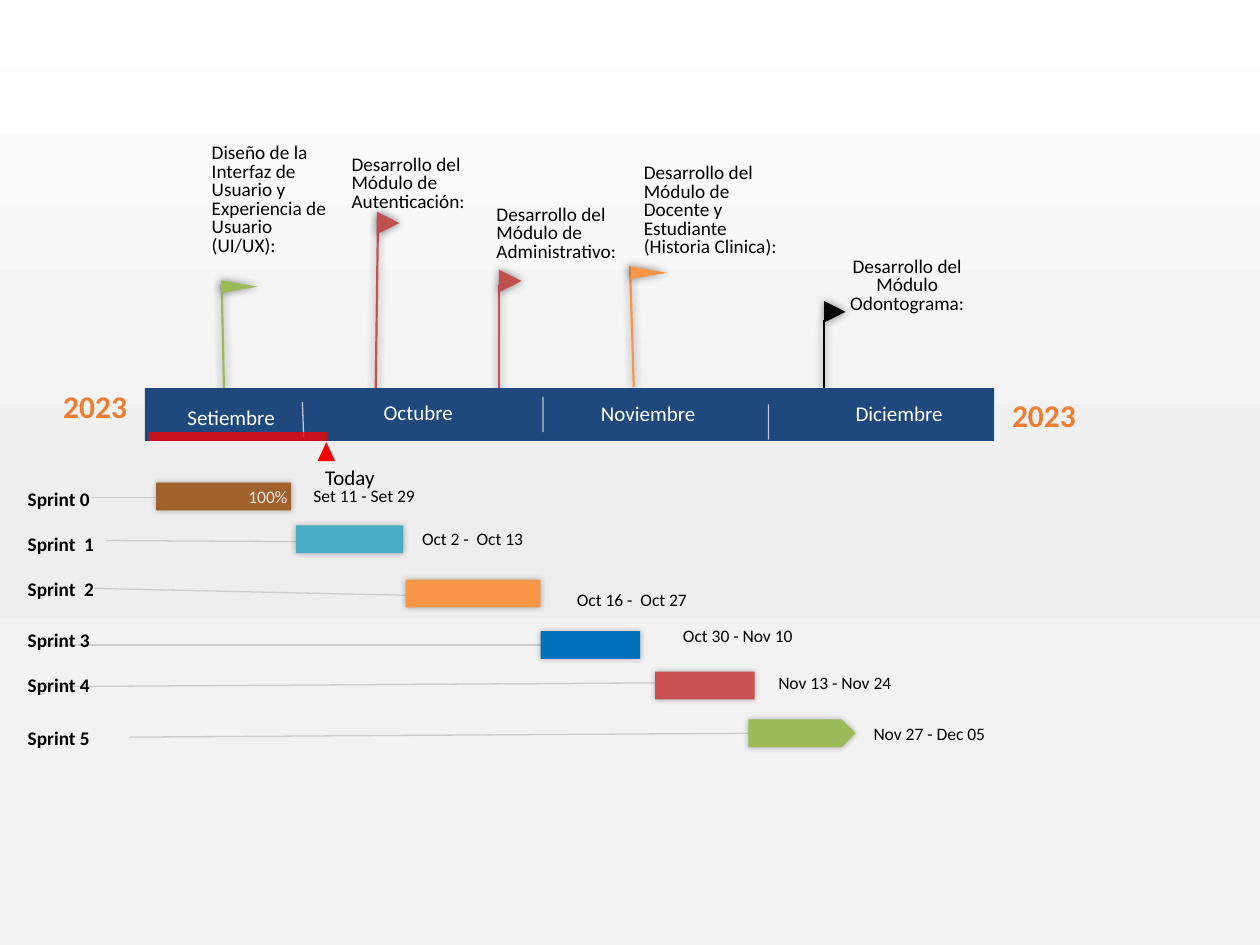
from lxml import etree
from pptx import Presentation
from pptx.dml.color import RGBColor
from pptx.enum.shapes import MSO_CONNECTOR, MSO_SHAPE as SHAPE
from pptx.enum.text import MSO_ANCHOR as ANCHOR, PP_ALIGN as ALIGN
from pptx.oxml.ns import qn
from pptx.util import Inches, Pt

WHITE = RGBColor(0xFF, 0xFF, 0xFF)
BLACK = RGBColor(0, 0, 0)
GRAY = RGBColor(0xCC, 0xCC, 0xCC)
NAVY = RGBColor(0x1F, 0x49, 0x7D)
BLUE = RGBColor(0x00, 0x72, 0xBC)
TEAL = RGBColor(0x4B, 0xAC, 0xC6)
ORANGE = RGBColor(0xF7, 0x96, 0x46)
YEAR_ORANGE = RGBColor(0xED, 0x7D, 0x31)
GREEN = RGBColor(0x9B, 0xBB, 0x59)
RED = RGBColor(0xC8, 0x50, 0x50)
FLAG_RED = RGBColor(0xC0, 0x50, 0x4D)
BRIGHT_RED = RGBColor(0xFF, 0, 0)
PALE = RGBColor(0xF1, 0xE6, 0xE6)
BACKDROP = [(0, "FFFFFF"), (57, "EEEEEE"), (74, "F2F2F2"), (100, "F2F2F2")]


class Canvas:
    font = "Calibri"
    bar_shadow = (3.5, 30)
    flag_shadow = (5, 50)

    def __init__(self, slide):
        self.s = slide

    def background(self, stops):
        fill = self.s.background.fill
        fill.gradient()
        fill.gradient_angle = 270
        gs_lst = self.s._element.find(".//" + qn("a:gsLst"))
        for gs in list(gs_lst):
            gs_lst.remove(gs)
        for pos, color in stops:
            gs = etree.SubElement(gs_lst, qn("a:gs"), pos=str(pos * 1000))
            etree.SubElement(gs, qn("a:srgbClr"), val=color)

    def effects(self, sp, shadow):
        """Set the effect list: empty, or a centred soft shadow (blur, alpha)."""
        sp_pr = sp._element.spPr
        for old in sp_pr.findall(qn("a:effectLst")):
            sp_pr.remove(old)
        lst = etree.SubElement(sp_pr, qn("a:effectLst"))
        if shadow:
            blur, alpha = shadow
            shd = etree.SubElement(lst, qn("a:outerShdw"), blurRad=str(Pt(blur)),
                                   dist="0", dir="0", algn="ctr", rotWithShape="0")
            clr = etree.SubElement(shd, qn("a:srgbClr"), val="000000")
            self.alpha(clr, alpha)

    def alpha(self, clr, percent):
        etree.SubElement(clr, qn("a:alpha"), val=str(percent * 1000))

    def line(self, x1, y1, x2, y2, color, width=0.75, alpha=None, shadow=None):
        c = self.s.shapes.add_connector(
            MSO_CONNECTOR.STRAIGHT, *map(Inches, (x1, y1, x2, y2)))
        c.line.color.rgb = color
        c.line.width = Pt(width)
        if alpha:
            self.alpha(c._element.spPr.find(".//" + qn("a:srgbClr")), alpha)
        self.effects(c, shadow)

    def shape(self, kind, x, y, w, h, color, alpha=None, shadow=None, rotation=0):
        sp = self.s.shapes.add_shape(kind, *map(Inches, (x, y, w, h)))
        sp.shadow.inherit = False
        sp.rotation = rotation
        sp.fill.solid()
        sp.fill.fore_color.rgb = color
        sp.line.fill.background()
        if alpha:
            self.alpha(sp._element.spPr.find(".//" + qn("a:srgbClr")), alpha)
        if shadow:
            self.effects(sp, shadow)
        return sp

    def text(self, x, y, w, h, text, **style):
        box = self.s.shapes.add_textbox(*map(Inches, (x, y, w, h)))
        self.label(box, text, **style)

    def label(self, sp, text, size=11, color=BLACK, bold=False, align=ALIGN.LEFT,
              anchor=ANCHOR.MIDDLE, spacing=1.0, wrap=True, right=0):
        tf = sp.text_frame
        frame = {"word_wrap": wrap, "vertical_anchor": anchor, "margin_left": 0,
                 "margin_top": 0, "margin_right": Inches(right), "margin_bottom": 0}
        for name, value in frame.items():
            setattr(tf, name, value)
        p = tf.paragraphs[0]
        p.alignment = align
        p.line_spacing = spacing
        r = p.add_run()
        r.text = text
        for name, value in {"name": self.font, "size": Pt(size), "bold": bold}.items():
            setattr(r.font, name, value)
        r.font.color.rgb = color


prs = Presentation()
prs.slide_width, prs.slide_height = Inches(10), Inches(7.5)
c = Canvas(prs.slides.add_slide(prs.slide_layouts[6]))
c.background(BACKDROP)

# Sprints: name, name top and width, guide line, bar, colour, shape, dates, dates box
BAR_H = 0.22
SPRINTS = [
    ("Sprint 0", 3.86, 0.53, (0.72, 3.95, 1.38, 3.95), (1.24, 3.83, 1.07),
     ORANGE, SHAPE.RECTANGLE, "Set 11 - Set 29", (2.32, 3.85, 1.14)),
    ("Sprint  1", 4.22, 0.57, (0.84, 4.29, 2.62, 4.3), (2.35, 4.17, 0.85),
     TEAL, SHAPE.RECTANGLE, "Oct 2 -  Oct 13", (3.29, 4.19, 0.92)),
    ("Sprint  2", 4.58, 0.53, (0.75, 4.67, 3.46, 4.73), (3.22, 4.6, 1.07),
     ORANGE, SHAPE.RECTANGLE, "Oct 16 -  Oct 27", (4.48, 4.67, 1.07)),
    ("Sprint 3", 4.98, 0.57, (0.37, 5.12, 4.29, 5.12), (4.29, 5.01, 0.79),
     BLUE, SHAPE.RECTANGLE, "Oct 30 - Nov 10", (5.29, 4.96, 1.13)),
    ("Sprint 4", 5.34, 0.62, (0.3, 5.45, 5.21, 5.42), (5.2, 5.33, 0.79),
     RED, SHAPE.RECTANGLE, "Nov 13 - Nov 24", (6.09, 5.33, 1.07)),
    ("Sprint 5", 5.76, 0.62, (1.03, 5.85, 5.94, 5.82), (5.94, 5.71, 0.85),
     GREEN, SHAPE.PENTAGON, "Nov 27 - Dec 05", (6.84, 5.74, 1.07)),
]
for name, top, width, guide, bar, color, kind, dates, dates_box in SPRINTS:
    c.line(*guide, GRAY)
    c.shape(kind, *bar, BAR_H, color, shadow=c.bar_shadow)
    c.text(0.22, top, width, 0.19, name, bold=True)
    c.text(*dates_box, 0.17, dates, size=10, align=ALIGN.CENTER)

# Completed share of the first sprint
done = c.shape(SHAPE.RECTANGLE, *SPRINTS[0][4], BAR_H, BLACK, alpha=35)
c.label(done, "100%", size=10, color=PALE, align=ALIGN.RIGHT, right=0.03)

# Milestones: pole, pole colour, flag, flag colour, label box, label, align, anchor
MILESTONES = [
    ((1.76, 2.26, 1.78, 3.21), GREEN, (1.85, 2.13, 0.1, 0.29), GREEN,
     (1.68, 1.15, 0.92, 0.89), "Diseño de la Interfaz de Usuario y Experiencia de "
     "Usuario (UI/UX):", ALIGN.LEFT, ANCHOR.TOP),
    ((3, 1.72, 2.98, 3.23), RED, (2.99, 1.68, 0.18, 0.18), FLAG_RED,
     (2.79, 1.24, 1.07, 0.44), "Desarrollo del Módulo de Autenticación:",
     ALIGN.LEFT, ANCHOR.TOP),
    ((3.96, 2.26, 3.96, 3.13), RED, (3.96, 2.14, 0.18, 0.18), FLAG_RED,
     (3.94, 1.64, 0.98, 0.44), "Desarrollo del Módulo de Administrativo:",
     ALIGN.LEFT, ANCHOR.TOP),
    ((5, 2.11, 5.03, 3.07), ORANGE, (5.1, 2.02, 0.1, 0.29), ORANGE,
     (5.11, 1.31, 1.13, 0.74), "Desarrollo del Módulo de Docente y Estudiante "
     "(Historia Clinica):", ALIGN.LEFT, ANCHOR.TOP),
    ((6.54, 2.54, 6.54, 3.11), BLACK, (6.54, 2.39, 0.17, 0.17), BLACK,
     (6.74, 2.05, 0.92, 0.44), "Desarrollo del Módulo Odontograma:",
     ALIGN.CENTER, ANCHOR.BOTTOM),
]
for pole, pole_color, flag, flag_color, box, title, align, anchor in MILESTONES:
    c.line(*pole, pole_color, 1.25, shadow=c.flag_shadow)
    c.shape(SHAPE.FLOWCHART_MERGE, *flag, flag_color, shadow=c.flag_shadow, rotation=270)
    c.text(*box, title, align=align, anchor=anchor, spacing=0.8)

# Month band with its years
c.shape(SHAPE.RECTANGLE, 1.15, 3.08, 6.74, 0.42, NAVY)
for x, y in [(0.36, 3.07), (7.89, 3.14)]:
    c.text(x, y, 0.79, 0.3, "2023", size=18, color=YEAR_ORANGE, bold=True,
           align=ALIGN.CENTER, wrap=False)
for month, x, y, w, align in [("Setiembre", 1.15, 3.1, 1.37, ALIGN.CENTER),
                              ("Octubre", 2.71, 3.06, 1.22, ALIGN.CENTER),
                              ("Noviembre", 4.48, 3.07, 1.33, ALIGN.CENTER),
                              ("Diciembre", 6.79, 3.07, 1.04, ALIGN.LEFT)]:
    c.text(x, y, w, 0.42, month, size=12, color=WHITE, align=align)
for x1, x2, y in [(2.4, 2.41, 3.19), (4.31, 4.31, 3.15), (6.1, 6.1, 3.21)]:
    c.line(x1, y, x2, y + 0.28, WHITE, alpha=70)

# Elapsed time and today marker
c.shape(SHAPE.RECTANGLE, 1.18, 3.43, 1.42, 0.07, BRIGHT_RED, alpha=75)
c.shape(SHAPE.ISOSCELES_TRIANGLE, 2.52, 3.51, 0.14, 0.15, BRIGHT_RED)
c.text(2.58, 3.69, 0.4, 0.2, "Today", size=12, anchor=ANCHOR.TOP, wrap=False)

prs.save("out.pptx")
